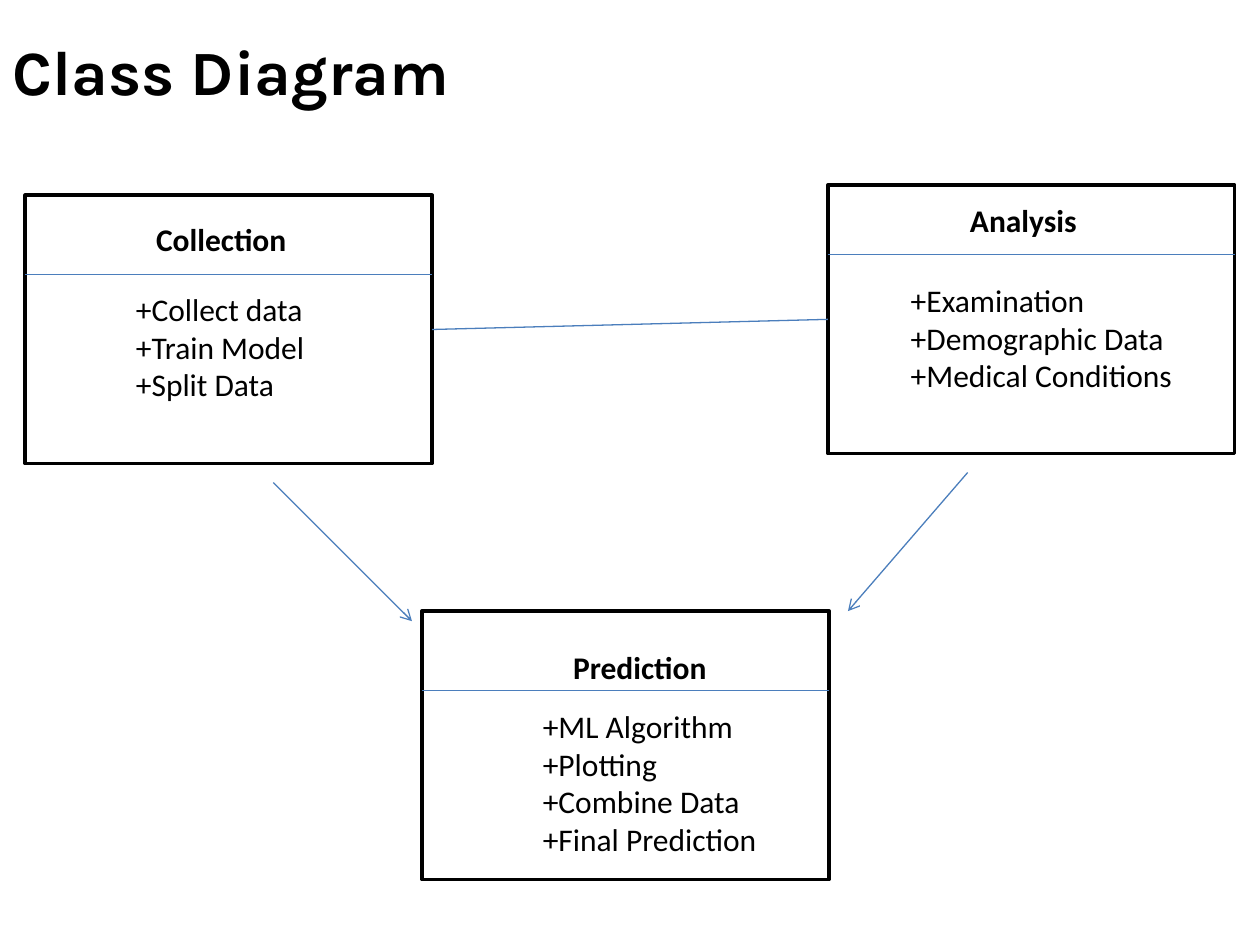
from dataclasses import dataclass

from lxml.etree import SubElement
from pptx import Presentation
from pptx.dml.color import RGBColor
from pptx.enum.shapes import MSO_CONNECTOR as Connector, MSO_SHAPE as Preset
from pptx.enum.text import MSO_ANCHOR as Anchor, MSO_AUTO_SIZE as AutoSize, PP_ALIGN as Align
from pptx.oxml.ns import qn
from pptx.shapes.autoshape import Shape
from pptx.shapes.connector import Connector as ConnectorShape
from pptx.slide import Slide
from pptx.text.text import TextFrame
from pptx.util import Inches, Length, Pt

COLUMNS, ROWS = 100, 75
BOX_WIDTH, BOX_HEIGHT = 32.3, 21.3
RIGHT_SIDE, LEFT_SIDE = 3, 1


@dataclass(frozen=True)
class Theme:
    ink: RGBColor = RGBColor(0, 0, 0)
    paper: RGBColor = RGBColor(255, 255, 255)
    link: RGBColor = RGBColor(0x4B, 0x7E, 0xBC)
    title_font: str = "Karla"
    body_font: str = "Calibri"
    title_size: Length = Pt(36)
    body_size: Length = Pt(18)
    border: Length = Pt(2)
    link_width: Length = Pt(0.75)


@dataclass(frozen=True)
class Area:
    column: float
    row: float
    width: float
    height: float

    def lengths(self) -> tuple[Length, ...]:
        return tuple(grid(value) for value in (self.column, self.row, self.width, self.height))


@dataclass(frozen=True)
class ClassBox:
    name: str
    operations: tuple[str, ...]
    column: float
    row: float
    divider: float
    name_area: Area
    operations_area: Area


@dataclass(frozen=True)
class Arrow:
    start: tuple[float, float]
    end: tuple[float, float]


THEME = Theme()
TITLE_AREA = Area(0, 2.1, 40.9, 7.1)
COLLECTION = ClassBox(
    "Collection", ("+Collect data", "+Train Model", "+Split Data"),
    2, 15.5, 6.3, Area(11.4, 17, 12.6, 4), Area(9.8, 22.5, 18.9, 10.1),
)
ANALYSIS = ClassBox(
    "Analysis", ("+Examination", "+Demographic Data", "+Medical Conditions"),
    65.7, 14.7, 5.5, Area(76, 15.5, 17.3, 4), Area(71.3, 21.8, 23.6, 10.1),
)
PREDICTION = ClassBox(
    "Prediction", ("+ML Algorithm", "+Plotting", "+Combine Data", "+Final Prediction"),
    33.5, 48.5, 6.3, Area(44.5, 50.9, 19.7, 4), Area(42.1, 55.6, 21.3, 13.1),
)
ARROWS = (Arrow((21.7, 38.3), (32.7, 49.3)), Arrow((76.8, 37.5), (67.3, 48.5)))


def grid(units: float) -> Length:
    return Inches(10 * units / COLUMNS)


def write(frame: TextFrame, lines: tuple[str, ...], font: str, size: Length, bold: bool) -> None:
    frame.word_wrap = True
    frame.auto_size = AutoSize.SHAPE_TO_FIT_TEXT
    frame.vertical_anchor = Anchor.TOP
    frame.text = "\n".join(lines)
    for paragraph in frame.paragraphs:
        paragraph.alignment = Align.LEFT
        paragraph.font.name = font
        paragraph.font.size = size
        paragraph.font.bold = bold
        paragraph.font.color.rgb = THEME.ink


def add_text(slide: Slide, area: Area, lines: tuple[str, ...], bold: bool = False) -> None:
    text_box = slide.shapes.add_textbox(*area.lengths())
    write(text_box.text_frame, lines, THEME.body_font, THEME.body_size, bold)


def add_line(slide: Slide, start: tuple[float, float], end: tuple[float, float]) -> ConnectorShape:
    points = (grid(value) for value in (*start, *end))
    connector = slide.shapes.add_connector(Connector.STRAIGHT, *points)
    connector.line.color.rgb = THEME.link
    connector.line.width = THEME.link_width
    SubElement(connector._element.spPr, qn("a:effectLst"))
    return connector


def add_arrow(slide: Slide, arrow: Arrow) -> None:
    connector = add_line(slide, arrow.start, arrow.end)
    SubElement(connector.line._get_or_add_ln(), qn("a:tailEnd"), type="arrow")


def add_class(slide: Slide, box: ClassBox) -> Shape:
    area = Area(box.column, box.row, BOX_WIDTH, BOX_HEIGHT)
    shape = slide.shapes.add_shape(Preset.RECTANGLE, *area.lengths())
    shape.shadow.inherit = False
    shape.fill.solid()
    shape.fill.fore_color.rgb = THEME.paper
    shape.line.color.rgb = THEME.ink
    shape.line.width = THEME.border
    add_text(slide, box.name_area, (box.name,), bold=True)
    add_text(slide, box.operations_area, box.operations)
    divider_row = box.row + box.divider
    add_line(slide, (box.column, divider_row), (box.column + BOX_WIDTH, divider_row))
    return shape


def add_title(slide: Slide, text: str) -> None:
    title = slide.shapes.title
    title.left, title.top, title.width, title.height = TITLE_AREA.lengths()
    write(title.text_frame, (text,), THEME.title_font, THEME.title_size, True)


def main() -> None:
    presentation = Presentation()
    presentation.slide_width, presentation.slide_height = grid(COLUMNS), grid(ROWS)
    slide = presentation.slides.add_slide(presentation.slide_layouts[5])
    add_title(slide, "Class Diagram")
    collection, analysis, _ = [add_class(slide, box) for box in (COLLECTION, ANALYSIS, PREDICTION)]
    association = add_line(slide, (0, 0), (0, 0))
    association.begin_connect(collection, RIGHT_SIDE)
    association.end_connect(analysis, LEFT_SIDE)
    for arrow in ARROWS:
        add_arrow(slide, arrow)
    presentation.save("out.pptx")


if __name__ == "__main__":
    main()
